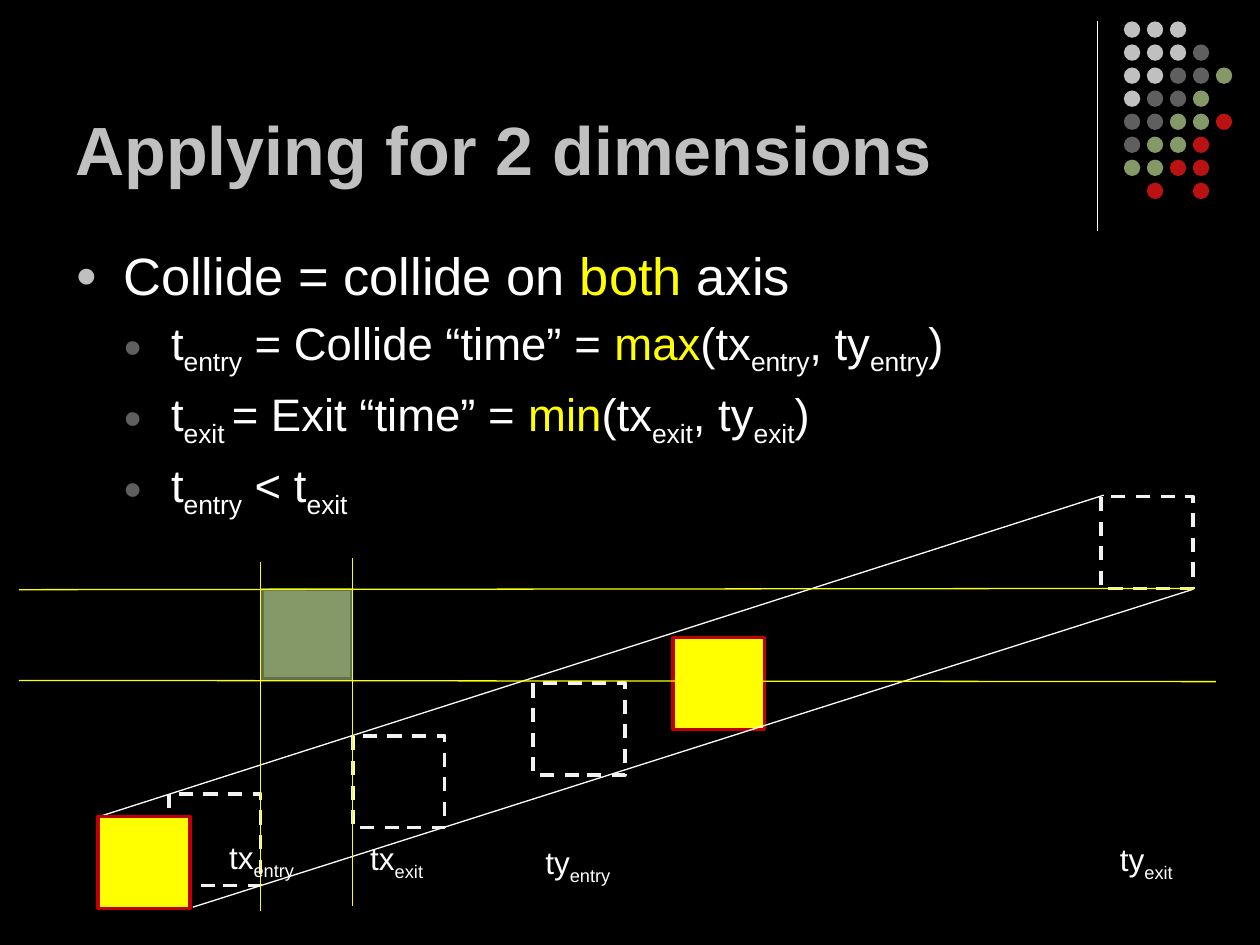
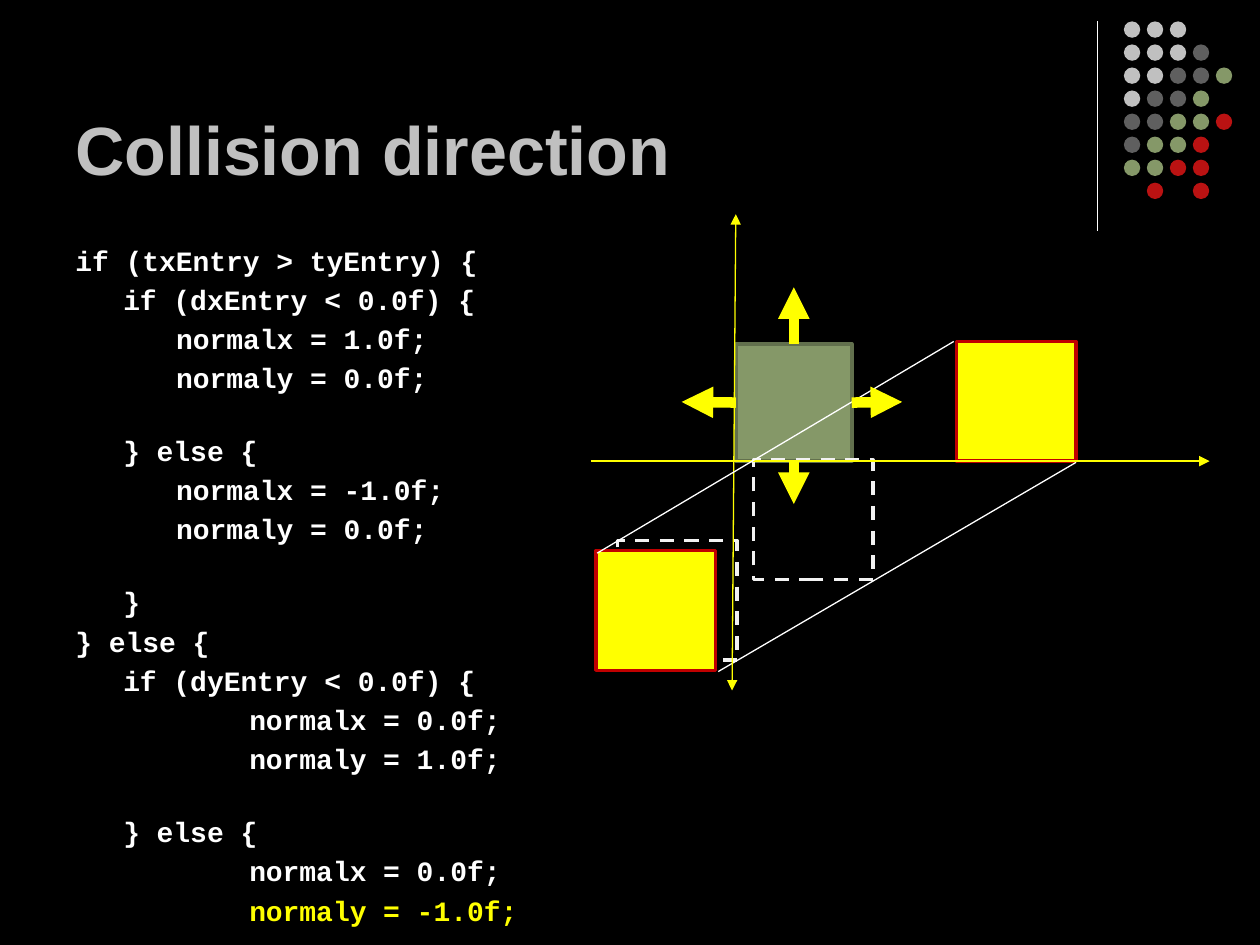
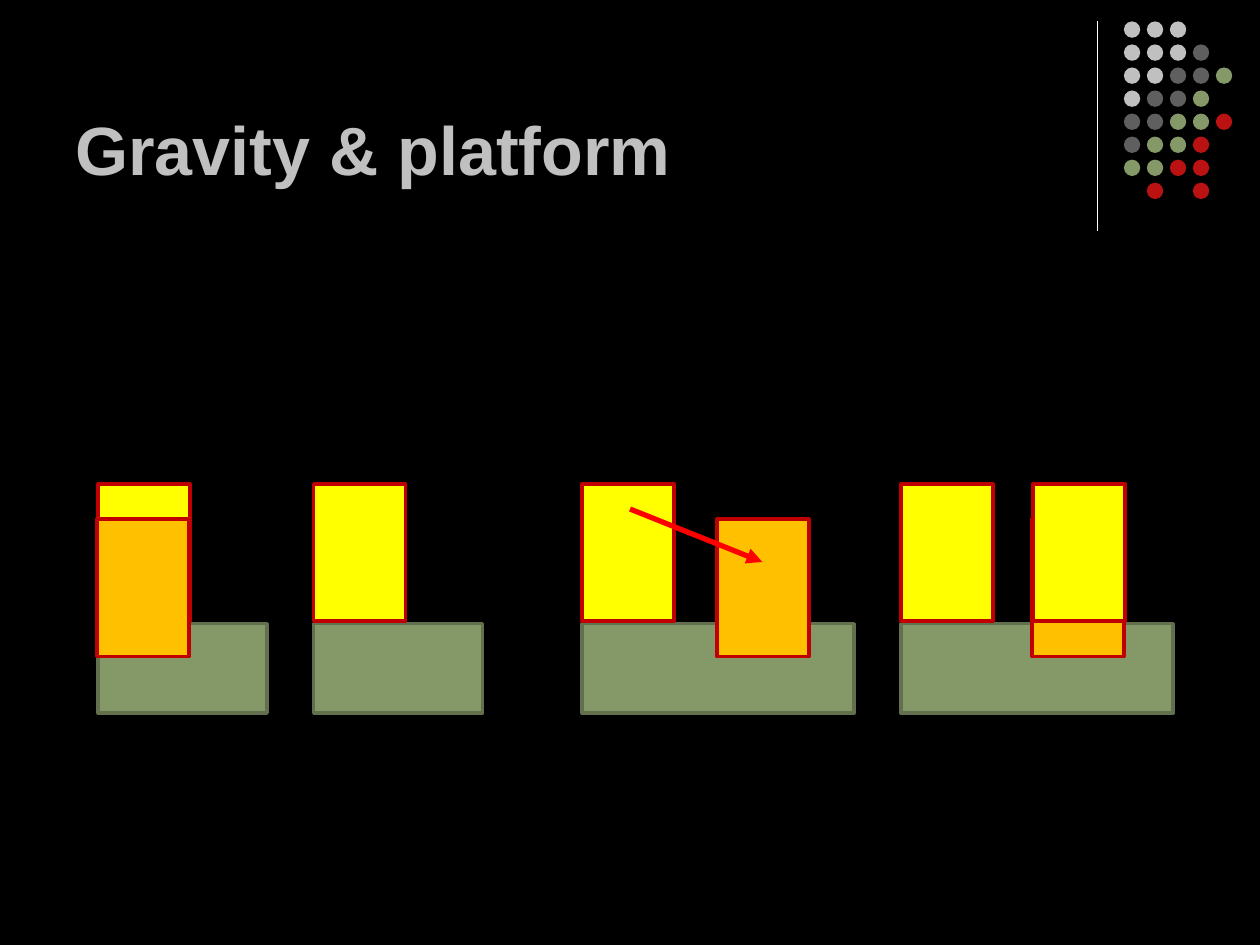
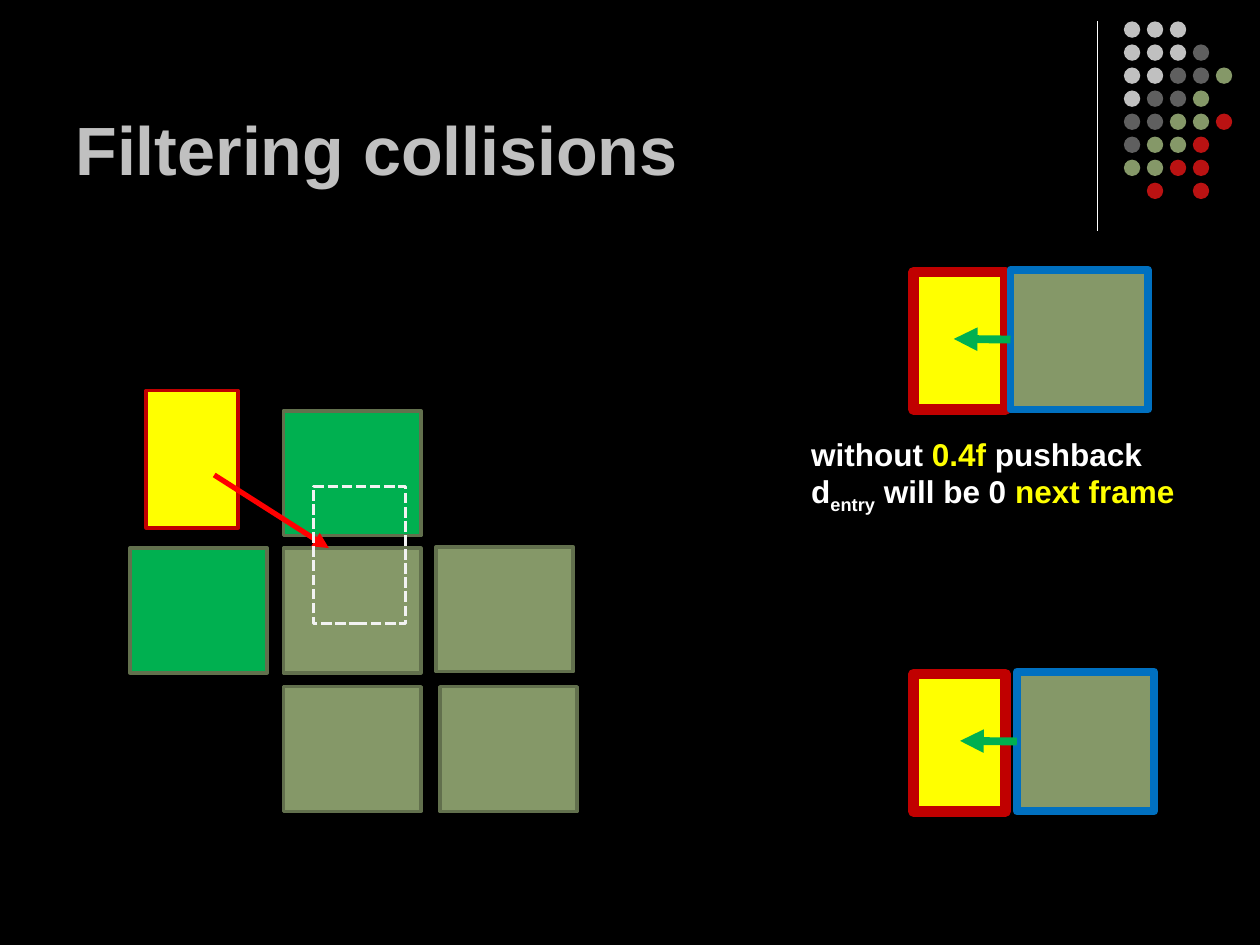
from lxml.etree import SubElement
from pptx import Presentation
from pptx.dml.color import RGBColor
from pptx.enum.dml import MSO_LINE
from pptx.enum.shapes import MSO_CONNECTOR, MSO_SHAPE
from pptx.enum.text import MSO_ANCHOR, MSO_AUTO_SIZE
from pptx.oxml.ns import qn
from pptx.util import Inches, Pt

COLORS = {
    "black": "000000", "white": "FFFFFF", "pale": "F2F2F2",
    "silver": "C0C0C0", "gray": "5F5F5F", "olive": "859868",
    "dark olive": "62704D", "crimson": "BA1212", "dark red": "C00000",
    "red": "FF0000", "yellow": "FFFF00", "orange": "FFC000",
    "green": "00B050", "blue": "0070C0",
}

# Box looks: fill, line colour, line width, dash
LOOKS = {
    "block": ("olive", "dark olive", 2, None),
    "hit block": ("green", "dark olive", 2, None),
    "framed block": ("olive", "blue", 4.5, None),
    "player": ("yellow", "dark red", 2, None),
    "framed player": ("yellow", "dark red", 6, None),
    "sunk player": ("orange", "dark red", 2, None),
    "ghost": (None, "pale", 2, MSO_LINE.DASH),
    "fine ghost": (None, "pale", 2, MSO_LINE.SQUARE_DOT),
}

DOT_ROWS = ["SSS", "SSSG", "SSGGO", "SGGO", "GGOOR", "GOOR", "OORR", " R R"]
DOT_COLORS = {"S": "silver", "G": "gray", "O": "olive", "R": "crimson"}

SUB = {"sub": True}
YELLOW = {"color": "yellow"}


def rgb(name):
    return RGBColor.from_string(COLORS[name])


# ---- Text ----
def add_spans(para, spans, **base):
    """Write spans, each a string or a (string, changes) pair."""
    for item in spans:
        text, changes = (item, {}) if isinstance(item, str) else item
        style = {"name": "Arial", "size": 18, "bold": False, "color": "white", **base, **changes}
        span = para.add_run()
        span.text = text
        span.font.color.rgb = rgb(style["color"])
        formats = {"name": style["name"], "size": Pt(style["size"]), "bold": style["bold"]}
        for key, value in formats.items():
            setattr(span.font, key, value)
        if style.get("sub"):
            span.font._element.set("baseline", "-25000")


def add_text_frame(page, left, top, width, height, **formats):
    box = page.shapes.add_textbox(Inches(left), Inches(top), Inches(width), Inches(height))
    frame = box.text_frame
    for key, value in {"word_wrap": True, **formats}.items():
        setattr(frame, key, value)
    return frame


def next_paragraph(frame):
    first = frame.paragraphs[0]
    return frame.add_paragraph() if first.runs else first


def set_indent(para, margin, first_line=0):
    properties = para._p.get_or_add_pPr()
    properties.set("marL", str(Inches(margin)))
    properties.set("indent", str(Inches(first_line)))
    return properties


def add_bullet(frame, spans, level):
    margin, size, color, space = [(0.38, 30, "silver", 3), (0.76, 26, "gray", 5.2)][level]
    para = next_paragraph(frame)
    para.level = level
    para.space_before = Pt(space)
    properties = set_indent(para, margin, -0.38)
    bullet_color = SubElement(properties, qn("a:buClr"))
    SubElement(bullet_color, qn("a:srgbClr")).set("val", COLORS[color])
    SubElement(properties, qn("a:buSzPct")).set("val", "70000")
    SubElement(properties, qn("a:buFont")).set("typeface", "Arial")
    SubElement(properties, qn("a:buChar")).set("char", "●")
    add_spans(para, spans, size=size)


def add_label(page, left, top, width, axis, event):
    frame = add_text_frame(page, left, top, width, 0.4, word_wrap=False,
                           auto_size=MSO_AUTO_SIZE.SHAPE_TO_FIT_TEXT)
    add_spans(frame.paragraphs[0], [axis, (event, SUB)])


# ---- Shapes and lines ----
def add_box(page, look, left, top, width=0.73, height=0.73):
    fill, line, weight, dash = LOOKS[look]
    box = page.shapes.add_shape(MSO_SHAPE.RECTANGLE, Inches(left), Inches(top),
                                Inches(width), Inches(height))
    box.shadow.inherit = False
    if fill:
        box.fill.solid()
        box.fill.fore_color.rgb = rgb(fill)
    else:
        box.fill.background()
    box.line.color.rgb = rgb(line)
    box.line.width = Pt(weight)
    if dash:
        box.line.dash_style = dash
    return box


def add_line(page, start, end, color="white", weight=0.75, arrows=()):
    """Draw a straight line; arrows may hold headEnd and tailEnd, in that order."""
    line = page.shapes.add_connector(MSO_CONNECTOR.STRAIGHT,
                                     *(Inches(value) for value in (*start, *end)))
    line.line.color.rgb = rgb(color)
    line.line.width = Pt(weight)
    for arrow in arrows:
        SubElement(line.line._get_or_add_ln(), qn(f"a:{arrow}")).set("type", "triangle")
    SubElement(line._element.spPr, qn("a:effectLst"))
    return line


def add_push_arrow(page, box, side, start, tip, color, weight):
    arrow = add_line(page, start, tip, color, weight, ["tailEnd"])
    arrow.begin_connect(box, side)


# ---- Shared page ----
def add_dots(page):
    for row, marks in enumerate(DOT_ROWS):
        for column, mark in enumerate(marks):
            if mark == " ":
                continue
            dot = page.shapes.add_shape(
                MSO_SHAPE.OVAL, Inches(8.92 + column * 0.73 / 4),
                Inches(0.17 + row * 1.28 / 7), Inches(0.13), Inches(0.13))
            dot.shadow.inherit = False
            dot.fill.solid()
            dot.fill.fore_color.rgb = rgb(DOT_COLORS[mark])
            dot.line.fill.background()


def add_page(deck, title):
    page = deck.slides.add_slide(deck.slide_layouts[6])
    page.background.fill.solid()
    page.background.fill.fore_color.rgb = rgb("black")
    add_line(page, (8.71, 0.17), (8.71, 1.83))
    add_dots(page)
    frame = add_text_frame(page, 0.5, 0.13, 8.25, 1.42, vertical_anchor=MSO_ANCHOR.BOTTOM)
    add_spans(frame.paragraphs[0], [title], size=39, bold=True, color="silver")
    return page


# ---- Slides ----
def build_dimensions(deck):
    page = add_page(deck, "Applying for 2 dimensions")
    frame = add_text_frame(page, 0.5, 1.88, 9, 2.3)
    entry, leave = ("entry", SUB), ("exit", SUB)
    bullets = [
        (0, ["Collide = collide on ", ("both", YELLOW), " axis"]),
        (1, ["t", entry, " = Collide “time” = ", ("max", YELLOW),
             "(tx", entry, ", ty", entry, ")"]),
        (1, ["t", ("exit ", SUB), "= Exit “time” = ", ("min", YELLOW),
             "(tx", leave, ", ty", leave, ")"]),
        (1, ["t", entry, " < t", leave]),
    ]
    for level, spans in bullets:
        add_bullet(frame, spans, level)

    # Sweep of the moving box past the block
    add_line(page, (0.79, 6.48), (8.76, 3.93))
    add_box(page, "block", 2.08, 4.68, 0.71, 0.71)
    add_box(page, "ghost", 1.34, 6.3)
    add_box(page, "player", 5.34, 5.06)
    add_box(page, "player", 0.78, 6.48)
    add_line(page, (1.53, 7.2), (9.46, 4.68))
    for left, top in [(2.8, 5.84), (4.23, 5.42), (8.74, 3.94)]:
        add_box(page, "ghost", left, top)

    # Edges of the block, extended
    for start, end in [((2.07, 4.46), (2.07, 7.23)), ((2.8, 4.43), (2.8, 7.19)),
                       ((0.15, 5.4), (9.65, 5.41)), ((0.15, 4.68), (9.48, 4.67))]:
        add_line(page, start, end, "yellow")

    for label in [(1.72, 6.6, 0.77, "tx", "entry"), (2.84, 6.61, 0.66, "tx", "exit"),
                  (4.23, 6.64, 0.77, "ty", "entry"), (8.79, 6.62, 0.66, "ty", "exit")]:
        add_label(page, *label)


def add_code(page):
    # Each line: indent, text, whether a gap stands above it
    lines = [
        (0, "if (txEntry > tyEntry) {", False),
        (0.38, "if (dxEntry < 0.0f) {", False),
        (0.8, "normalx = 1.0f;", False),
        (0.8, "normaly = 0.0f;", False),
        (0.38, "} else {", True),
        (0.8, "normalx = -1.0f;", False),
        (0.8, "normaly = 0.0f;", False),
        (0.38, "}", True),
        (0, "} else {", False),
        (0.38, "if (dyEntry < 0.0f) {", False),
        (1.38, "normalx = 0.0f;", False),
        (1.38, "normaly = 1.0f;", False),
        (0.38, "} else {", True),
        (1.38, "normalx = 0.0f;", False),
        (1.38, "normaly = -1.0f;", False),
    ]
    frame = add_text_frame(page, 0.5, 1.88, 4.09, 5.62)
    for indent, text, gap in lines:
        para = next_paragraph(frame)
        set_indent(para, indent)
        para.space_before = Pt(22.5 if gap else 3.2)
        color = "yellow" if text == "normaly = -1.0f;" else "white"
        add_spans(para, [text], name="Courier New", size=16, bold=True, color=color)


def build_direction(deck):
    page = add_page(deck, "Collision direction")
    add_code(page)

    side = 0.95
    block = add_box(page, "block", 5.84, 2.73, 0.92, 0.93)
    add_box(page, "ghost", 4.9, 4.29, side, side)
    add_box(page, "player", 7.59, 2.71, side, side)
    add_box(page, "player", 4.73, 4.37, side, side)
    add_line(page, (5.7, 5.33), (8.54, 3.67))
    add_box(page, "ghost", 5.98, 3.65, side, side)

    # Axes
    add_line(page, (4.69, 3.66), (9.6, 3.66), "yellow", arrows=["tailEnd"])
    add_line(page, (5.81, 5.48), (5.84, 1.7), "yellow", arrows=["headEnd", "tailEnd"])
    add_line(page, (4.74, 4.39), (7.57, 2.71))

    # Normals of the block's four sides
    for spot, start, tip in [(2, (6.3, 3.66), (6.3, 4)), (1, (5.84, 3.19), (5.41, 3.19)),
                             (0, (6.3, 2.73), (6.3, 2.28)), (3, (6.76, 3.19), (7.16, 3.19))]:
        add_push_arrow(page, block, spot, start, tip, "yellow", 6)


def build_gravity(deck):
    page = add_page(deck, "Gravity & platform")
    standing, sunk = 3.84, 4.12
    # Each scene: platform left and width, then players in stacking order
    scenes = [
        (0.78, 1.34, [("player", 0.78, standing), ("sunk player", 0.77, sunk)]),
        (2.49, 1.34, [("player", 2.49, standing)]),
        (4.62, 2.16, [("player", 4.62, standing), ("sunk player", 5.69, sunk)]),
        (7.15, 2.16, [("player", 7.15, standing), ("sunk player", 8.19, sunk),
                      ("player", 8.2, standing)]),
    ]
    for left, width, players in scenes:
        add_box(page, "block", left, 4.95, width, 0.71)
        for look, player_left, top in players:
            add_box(page, look, player_left, top, height=1.09)
    add_line(page, (5, 4.04), (6.05, 4.46), "red", 3, ["tailEnd"])


def add_pushback(page, player_top, block_left):
    add_box(page, "framed player", 7.25, player_top, height=1.09)
    block_top = player_top - 0.02
    block = add_box(page, "framed block", block_left, block_top, 1.09, 1.11)
    middle = block_top + 0.55
    add_push_arrow(page, block, 1, (block_left, middle), (block_left - 0.45, middle),
                   "green", 4.5)


def build_filtering(deck):
    page = add_page(deck, "Filtering collisions")
    for look, left, top in [("hit block", 2.25, 3.26), ("block", 2.25, 4.35),
                            ("hit block", 1.03, 4.35), ("block", 3.46, 4.34),
                            ("block", 2.25, 5.45), ("block", 3.49, 5.45)]:
        add_box(page, look, left, top, 1.09, 0.99)
    add_box(page, "player", 1.16, 3.1, height=1.09)
    add_line(page, (1.7, 3.77), (2.61, 4.35), "red", 3, ["tailEnd"])
    add_box(page, "fine ghost", 2.49, 3.86, height=1.09)

    add_pushback(page, 5.35, 8.07)
    add_pushback(page, 2.16, 8.02)
    frame = add_text_frame(page, 6.34, 3.4, 3.27, 0.71)
    for spans in [["without ", ("0.4f", YELLOW), " pushback"],
                  ["d", ("entry", SUB), " will be 0 ", ("next frame", YELLOW)]]:
        add_spans(next_paragraph(frame), spans, bold=True)


def main():
    deck = Presentation()
    deck.slide_width, deck.slide_height = Inches(10), Inches(7.5)
    for build in (build_dimensions, build_direction, build_gravity, build_filtering):
        build(deck)
    deck.save("out.pptx")


if __name__ == "__main__":
    main()
